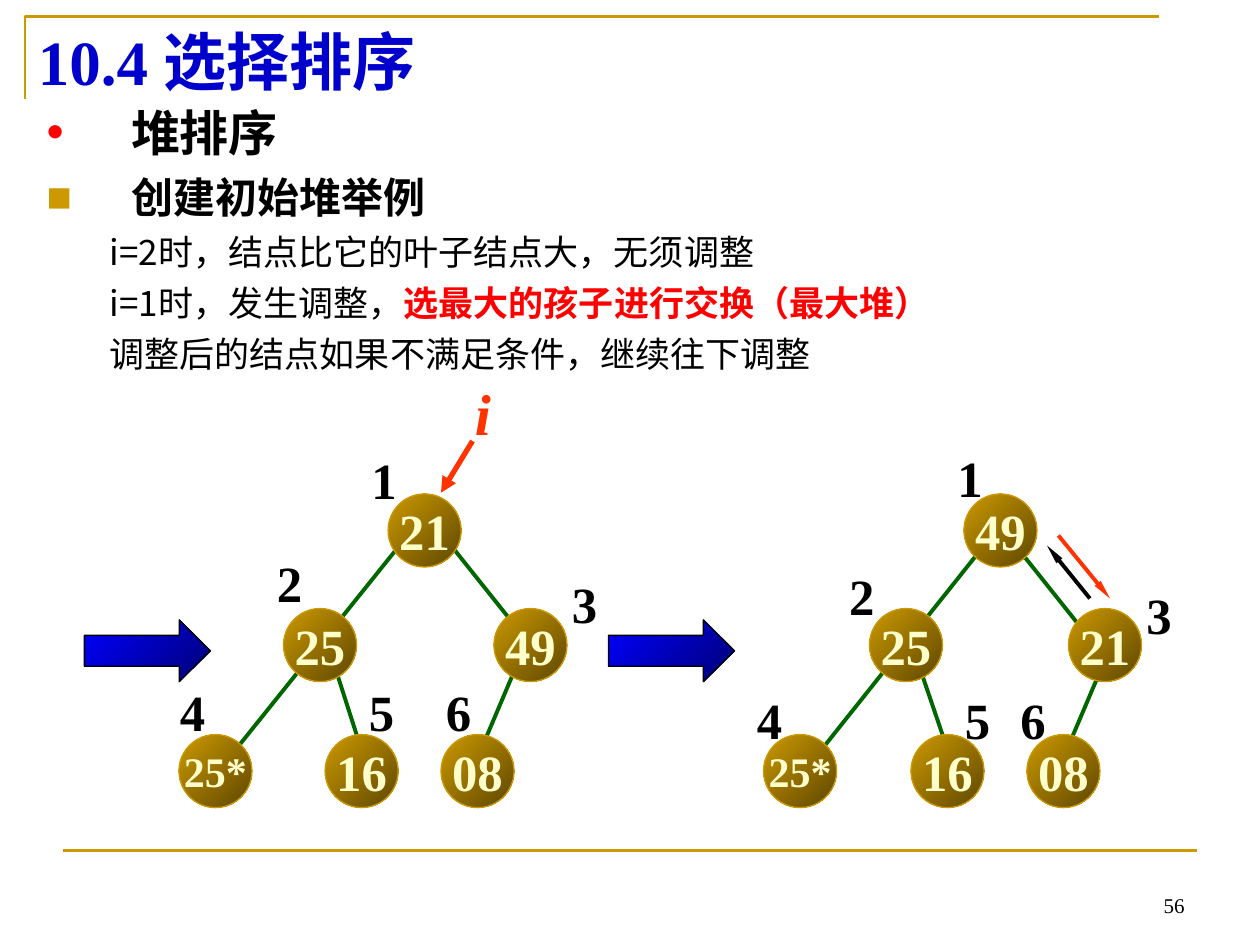
from lxml import etree
from pptx import Presentation
from pptx.dml.color import RGBColor
from pptx.enum.shapes import MSO_CONNECTOR, MSO_SHAPE
from pptx.enum.text import MSO_ANCHOR, MSO_AUTO_SIZE, PP_ALIGN
from pptx.oxml.ns import qn
from pptx.util import Inches, Pt

STRAIGHT = MSO_CONNECTOR.STRAIGHT
OVAL, ARROW = MSO_SHAPE.OVAL, MSO_SHAPE.RIGHT_ARROW
MIDDLE, BOTTOM = MSO_ANCHOR.MIDDLE, MSO_ANCHOR.BOTTOM
LEFT, CENTER, RIGHT = PP_ALIGN.LEFT, PP_ALIGN.CENTER, PP_ALIGN.RIGHT
NO_FIT = MSO_AUTO_SIZE.NONE

SERIF, SANS = "Times New Roman", "Noto Sans CJK SC"
GOLD, BROWN = RGBColor(0xCC, 0x99, 0x00), RGBColor(0x5E, 0x47, 0x00)
BLUE, NAVY = RGBColor(0x00, 0x00, 0xFF), RGBColor(0x00, 0x00, 0x76)
TITLE_BLUE, CREAM = RGBColor(0x00, 0x00, 0xCC), RGBColor(0xFF, 0xFF, 0xCC)
RED, ORANGE = RGBColor(0xFF, 0x00, 0x00), RGBColor(0xFF, 0x33, 0x00)
GREEN, BLACK = RGBColor(0x00, 0x66, 0x00), RGBColor(0x00, 0x00, 0x00)

NODE = 0.58
BODY = [
    (28, 0, ("•", RED), [("堆排序", True, BLACK)]),
    (24, 6, ("■", GOLD), [("创建初始堆举例", True, BLACK)]),
    (20, 5, None, [("i=2时，结点比它的叶子结点大，无须调整", False, BLACK)]),
    (20, 5, None, [("i=1时，发生调整，", False, BLACK),
                   ("选最大的孩子进行交换（最大堆）", True, RED)]),
    (20, 5, None, [("调整后的结点如果不满足条件，继续往下调整", False, BLACK)]),
]
TREES = [
    {
        "edges": [(4.08, 5.33, 3.83, 5.92), (2.67, 5.33, 2.83, 5.83),
                  (3.58, 4.33, 4.25, 5.17), (3.17, 4.33, 1.83, 6)],
        "nodes": [("21", 3.08, 3.92), ("25", 2.25, 4.83), ("49", 3.92, 4.83),
                  ("25*", 1.42, 5.83), ("16", 2.58, 5.83), ("08", 3.5, 5.83)],
        "labels": [(2.85, 3.51), (2.1, 4.33), (4.44, 4.5),
                   (1.33, 5.35), (2.83, 5.35), (3.44, 5.35)],
    },
    {
        "edges": [(8.73, 5.33, 8.48, 5.92), (7.31, 5.33, 7.48, 5.83),
                  (8.06, 4.33, 8.73, 5.17), (7.81, 4.33, 6.48, 6)],
        "nodes": [("49", 7.65, 3.92), ("25", 6.9, 4.83), ("21", 8.48, 4.83),
                  ("25*", 6.06, 5.83), ("16", 7.23, 5.83), ("08", 8.15, 5.83)],
        "labels": [(7.5, 3.5), (6.64, 4.43), (9, 4.58),
                   (5.91, 5.42), (7.56, 5.42), (8, 5.42)],
    },
]
POINTERS = [
    ((3.75, 3.5, 3.5, 3.91), ORANGE, 3, "med", "med"),
    ((8.65, 4.75, 8.31, 4.33), BLACK, 2.25, "sm", "lg"),
    ((8.4, 4.25, 8.81, 4.75), ORANGE, 2.25, "sm", "lg"),
]
BLOCK_ARROWS = [0.67, 4.83]


def place(sp, *box):
    sp.left, sp.top, sp.width, sp.height = map(Inches, box)


def add_run(p, text, size, color, bold=True, font=SERIF):
    r = p.add_run()
    r.text = text
    r.font.size, r.font.bold, r.font.name = Pt(size), bold, font
    r.font.color.rgb = color
    ea = etree.SubElement(r._r.get_or_add_rPr(), qn("a:ea"))
    ea.set("typeface", SANS)
    return r


def add_line(s, ends, color, width, head=None):
    c = s.shapes.add_connector(STRAIGHT, *map(Inches, ends))
    c.line.color.rgb, c.line.width = color, Pt(width)
    if head:
        tail = etree.SubElement(c.line._get_or_add_ln(), qn("a:tailEnd"))
        tail.set("type", "triangle")
        tail.set("w", head[0])
        tail.set("len", head[1])
    etree.SubElement(c._element.spPr, qn("a:effectLst"))


def add_gradient_shape(s, kind, box, colors, outline):
    sp = s.shapes.add_shape(kind, *map(Inches, box))
    sp.shadow.inherit = False
    sp.fill.gradient()
    sp.fill.gradient_angle = 315
    for stop, color in zip(sp.fill.gradient_stops, colors):
        stop.color.rgb = color
    sp.line.color.rgb, sp.line.width = outline, Pt(0.75)
    return sp


def add_label(s, box, text, size, color=BLACK):
    tf = s.shapes.add_textbox(*map(Inches, box)).text_frame
    tf.word_wrap = False
    return add_run(tf.paragraphs[0], text, size, color)


def add_title(s):
    sp = s.shapes.title
    place(sp, 0.2, 0.12, 9, 0.71)
    tf = sp.text_frame
    tf.auto_size, tf.vertical_anchor = NO_FIT, MIDDLE
    p = tf.paragraphs[0]
    p.alignment = LEFT
    add_run(p, "10.4 选择排序", 36, TITLE_BLUE)


def add_body(s):
    sp = s.placeholders[1]
    place(sp, 0.27, 0.76, 9.29, 4.65)
    tf = sp.text_frame
    tf.auto_size = NO_FIT
    for i, (size, before, bullet, runs) in enumerate(BODY):
        p = tf.add_paragraph() if i else tf.paragraphs[0]
        pPr = p._p.get_or_add_pPr()
        margin, indent = (0.67, -0.67) if bullet else (1.06, -0.56)
        pPr.set("marL", str(Inches(margin)))
        pPr.set("indent", str(Inches(indent)))
        if bullet:
            clr = etree.SubElement(pPr, qn("a:buClr"))
            etree.SubElement(clr, qn("a:srgbClr")).set("val", str(bullet[1]))
            etree.SubElement(pPr, qn("a:buChar")).set("char", bullet[0])
        else:
            etree.SubElement(pPr, qn("a:buNone"))
            p.level = 1
        p.space_before = Pt(before)
        for text, bold, color in runs:
            add_run(p, text, size, color, bold, SANS)


def add_tree(s, tree):
    for ends in tree["edges"]:
        add_line(s, ends, GREEN, 2.25)
    for value, x, y in tree["nodes"]:
        sp = add_gradient_shape(s, OVAL, (x, y, NODE, NODE), (GOLD, BROWN), GOLD)
        tf = sp.text_frame
        tf.word_wrap, tf.vertical_anchor = False, MIDDLE
        p = tf.paragraphs[0]
        p.alignment = CENTER
        add_run(p, value, 24 if len(value) > 2 else 29, CREAM)
    for number, (x, y) in enumerate(tree["labels"], 1):
        add_label(s, (x, y, 0.4, NODE), str(number), 29)


def main():
    prs = Presentation()
    prs.slide_width, prs.slide_height = Inches(10), Inches(7.5)
    s = prs.slides.add_slide(prs.slide_layouts[1])

    fb = s.shapes.build_freeform(Inches(0.2), Inches(0.79))
    fb.add_line_segments([(Inches(0.2), Inches(0.13)),
                          (Inches(9.2), Inches(0.13))], close=False)
    bracket = fb.convert_to_shape()
    bracket.shadow.inherit = False
    bracket.fill.background()
    bracket.line.color.rgb, bracket.line.width = GOLD, Pt(1.5)
    add_line(s, (0.5, 6.75, 9.5, 6.75), GOLD, 1.5)

    add_title(s)
    add_body(s)
    for x in BLOCK_ARROWS:
        sp = add_gradient_shape(s, ARROW, (x, 4.92, 1, 0.49), (BLUE, NAVY), BLACK)
        sp.adjustments[1] = 0.505
    for tree in TREES:
        add_tree(s, tree)
    for ends, color, width, *head in POINTERS:
        add_line(s, ends, color, width, head)
    add_label(s, (3.67, 2.95, 0.33, 0.65), "i", 33, ORANGE).font.italic = True

    tf = s.shapes.add_textbox(*map(Inches, (7.17, 6.83, 2.33, 0.5))).text_frame
    tf.word_wrap, tf.vertical_anchor = True, BOTTOM
    tf.paragraphs[0].alignment = RIGHT
    add_run(tf.paragraphs[0], "56", 12, BLACK, False)
    prs.save("out.pptx")


if __name__ == "__main__":
    main()
